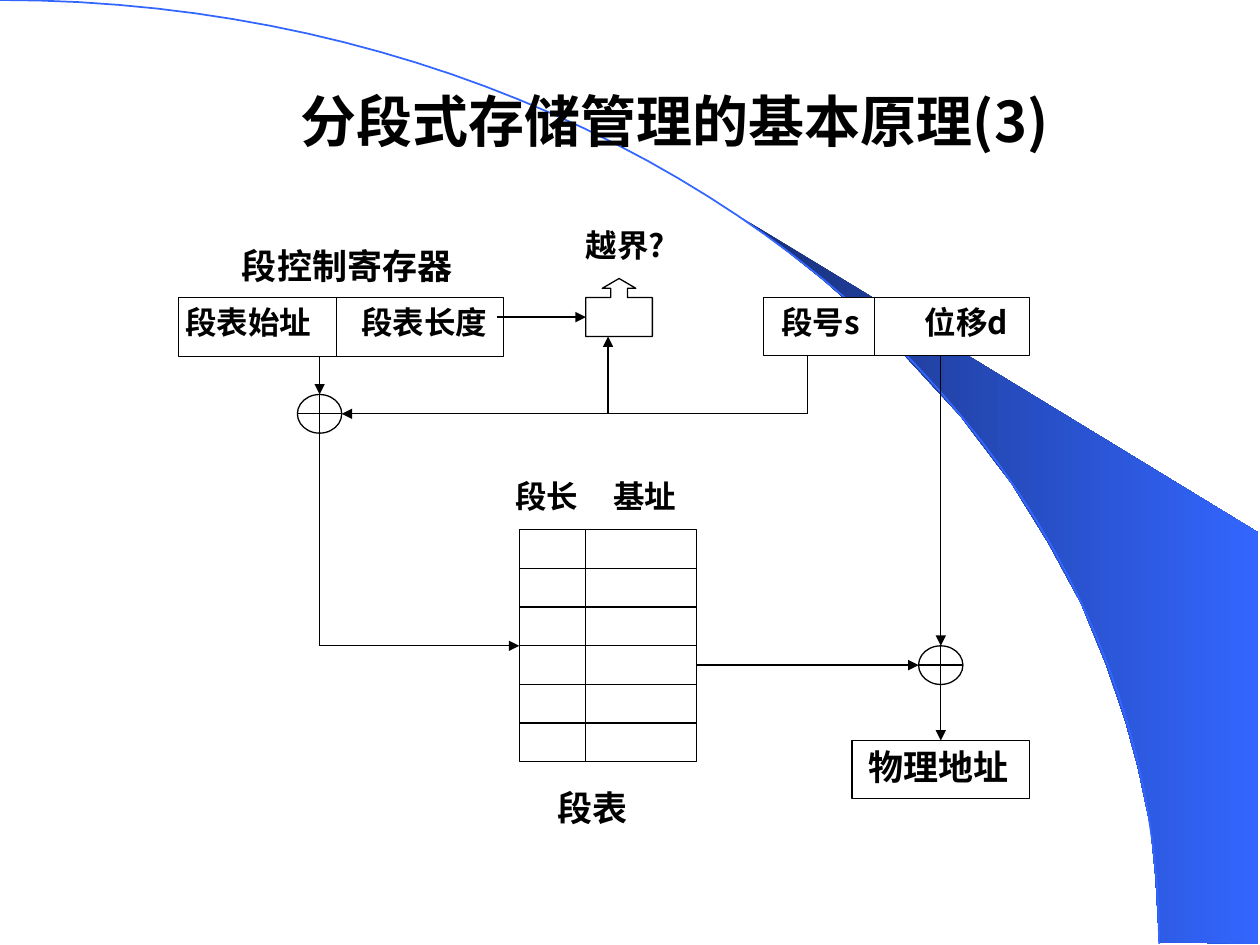
from lxml import etree
from pptx import Presentation
from pptx.dml.color import RGBColor
from pptx.enum.shapes import MSO_CONNECTOR, MSO_SHAPE
from pptx.enum.text import MSO_ANCHOR, PP_ALIGN
from pptx.oxml.ns import qn
from pptx.util import Emu, Inches, Pt

RECT = MSO_SHAPE.RECTANGLE
ADDER = MSO_SHAPE.FLOWCHART_OR
CALLOUT = MSO_SHAPE.UP_ARROW_CALLOUT
STRAIGHT = MSO_CONNECTOR.STRAIGHT
MIDDLE, TOP = MSO_ANCHOR.MIDDLE, MSO_ANCHOR.TOP
LEFT, CENTER = PP_ALIGN.LEFT, PP_ALIGN.CENTER
FONT = "Noto Sans CJK JP"
COLORS = {"ink": "000000", "paper": "FFFFFF", "blue": "3366FF", "navy": "182F76"}
COL, ROW = Emu(161000), Emu(140300)
ORIGIN_X, ORIGIN_Y = Inches(0.6), Inches(1.75)
SWOOSH = [(9.2, 7.48), (9.99, 7.49), (9.99, 4.23), (5.89, 1.73), (6.24, 1.99),
          (6.53, 2.22), (6.85, 2.5), (7.16, 2.8), (7.62, 3.3), (8.03, 3.84),
          (8.32, 4.31), (8.58, 4.79), (8.78, 5.28), (8.93, 5.72), (9.03, 6.09),
          (9.13, 6.56), (9.17, 6.96)]
ARC = [(0, 0), (5.08, 0), (9.2, 3.35), (9.2, 7.49)]


def rgb(name):
    return RGBColor.from_string(COLORS[name])


def x(col):
    return Emu(round(ORIGIN_X + col * COL))


def y(row):
    return Emu(round(ORIGIN_Y + row * ROW))


def bezier(points, steps=48):
    curve = []
    for i in range(steps + 1):
        t = i / steps
        weights = ((1 - t) ** 3, 3 * t * (1 - t) ** 2, 3 * t * t * (1 - t), t ** 3)
        curve.append(tuple(sum(w * pt[axis] for w, pt in zip(weights, points))
                           for axis in (0, 1)))
    return curve


class Diagram:
    """Draws the elements of a grid diagram on the current slide."""

    def __init__(self, slide):
        self.shapes = slide.shapes

    def outline(self, points, close):
        pts = [(Inches(px), Inches(py)) for px, py in points]
        builder = self.shapes.build_freeform(*pts[0])
        builder.add_line_segments(pts[1:], close=close)
        sp = builder.convert_to_shape()
        sp.shadow.inherit = False
        return sp

    def swoosh(self, points):
        sp = self.outline(points, True)
        sp.line.fill.background()
        sp.fill.gradient()
        sp.fill.gradient_angle = 0
        for stop, position, color in zip(sp.fill.gradient_stops, (0, 1), ("navy", "blue")):
            stop.position = position
            stop.color.rgb = rgb(color)

    def arc(self, points):
        sp = self.outline(bezier(points), False)
        sp.fill.background()
        sp.line.color.rgb = rgb("blue")
        sp.line.width = Pt(1)

    def set_text(self, sp, text, size, insets, anchor=TOP, align=LEFT, tab=None):
        tf = sp.text_frame
        left, top, right, bottom = map(Inches, insets)
        frame = {"word_wrap": True, "vertical_anchor": anchor, "margin_left": left,
                 "margin_top": top, "margin_right": right, "margin_bottom": bottom}
        for name, value in frame.items():
            setattr(tf, name, value)
        p = tf.paragraphs[0]
        p.alignment = align
        if tab:
            tabs = etree.SubElement(p._p.get_or_add_pPr(), qn("a:tabLst"))
            etree.SubElement(tabs, qn("a:tab"), pos=str(Inches(tab)), algn="l")
        r = p.add_run()
        r.text = text
        for name, value in {"size": Pt(size), "bold": True, "name": FONT}.items():
            setattr(r.font, name, value)
        r.font.color.rgb = rgb("ink")
        etree.SubElement(r._r.get_or_add_rPr(), qn("a:ea"), typeface=FONT)

    def title(self, text):
        sp = self.shapes.add_textbox(Inches(1.75), Inches(0.7), Inches(7.08), Inches(0.5))
        self.set_text(sp, text, 32, (0.22, 0.05, 0.1, 0.05), MIDDLE, CENTER)

    def box(self, col, row, cols, rows, kind=RECT, border=True):
        sp = self.shapes.add_shape(kind, x(col), y(row), Emu(round(cols * COL)),
                                   Emu(round(rows * ROW)))
        sp.shadow.inherit = False
        sp.fill.solid()
        sp.fill.fore_color.rgb = rgb("paper")
        if border:
            sp.line.color.rgb = rgb("ink")
            sp.line.width = Pt(0.75)
        else:
            sp.line.fill.background()
        return sp

    def callout(self, col, row, cols, rows):
        sp = self.box(col, row, cols, rows, CALLOUT)
        for i, value in enumerate((0.29, 0.29, 0.17, 0.67)):
            sp.adjustments[i] = value

    def label(self, cell, text, size, inset=0, tab=None, border=False):
        sp = self.box(*cell, border=border)
        self.set_text(sp, text, size, (inset, 0.04, 0, 0), tab=tab)
        return sp

    def line(self, start, end, arrow=False, target=None):
        c = self.shapes.add_connector(STRAIGHT, x(start[0]), y(start[1]),
                                      x(end[0]), y(end[1]))
        if target:
            c.end_connect(*target)
        c.line.color.rgb = rgb("ink")
        c.line.width = Pt(0.75)
        props = c._element.spPr
        if arrow:
            etree.SubElement(props.find(qn("a:ln")), qn("a:tailEnd"), type="triangle")
        etree.SubElement(props, qn("a:effectLst"))


def main():
    prs = Presentation()
    prs.slide_width, prs.slide_height = Inches(10), Inches(7.5)
    d = Diagram(prs.slides.add_slide(prs.slide_layouts[6]))
    d.swoosh(SWOOSH)
    d.arc(ARC)
    d.title("分段式存储管理的基本原理(3)")

    d.label((7.5, 1, 10.4, 2.3), "段控制寄存器", 20)
    d.label((4.65, 4, 14.65, 3.05), "段表始址\t段表长度", 18, 0.05, 1.4, True)
    d.label((31, 4, 12, 3), "段号s\t位移d", 18, 0.14, 1.14, True)
    d.label((19.3, 13, 9.25, 2.2), "段长\t基址", 18, 0.09, 0.78)
    d.label((23, 0, 5, 2), "越界?", 18)
    d.label((21, 29, 5, 2), "段表", 20, 0.13)
    address = d.label((35, 26.9, 8, 3), "物理地址", 20, 0.13, border=True)
    table = d.box(20, 16, 8, 12)
    d.callout(23, 3, 3, 3)
    for col, row in ((10, 9), (38, 22)):
        d.box(col, row, 2, 2, ADDER)

    for row in range(18, 28, 2):
        d.line((20, row), (28, row))
    for col, top, bottom in ((11.75, 4, 7), (36, 4, 7), (23, 16, 28),
                             (33, 7, 10), (11, 11, 22)):
        d.line((col, top), (col, bottom))
    for start, end in (((11, 7), (11, 9)), ((33, 10), (12, 10)),
                       ((28, 23), (38, 23)), ((39, 7), (39, 22)),
                       ((24, 10), (24, 6)), ((19, 5), (23, 5))):
        d.line(start, end, True)
    d.line((11, 22), (20, 22), True, (table, 1))
    d.line((39, 24), (39, 26.9), True, (address, 0))
    prs.save("out.pptx")


if __name__ == "__main__":
    main()
